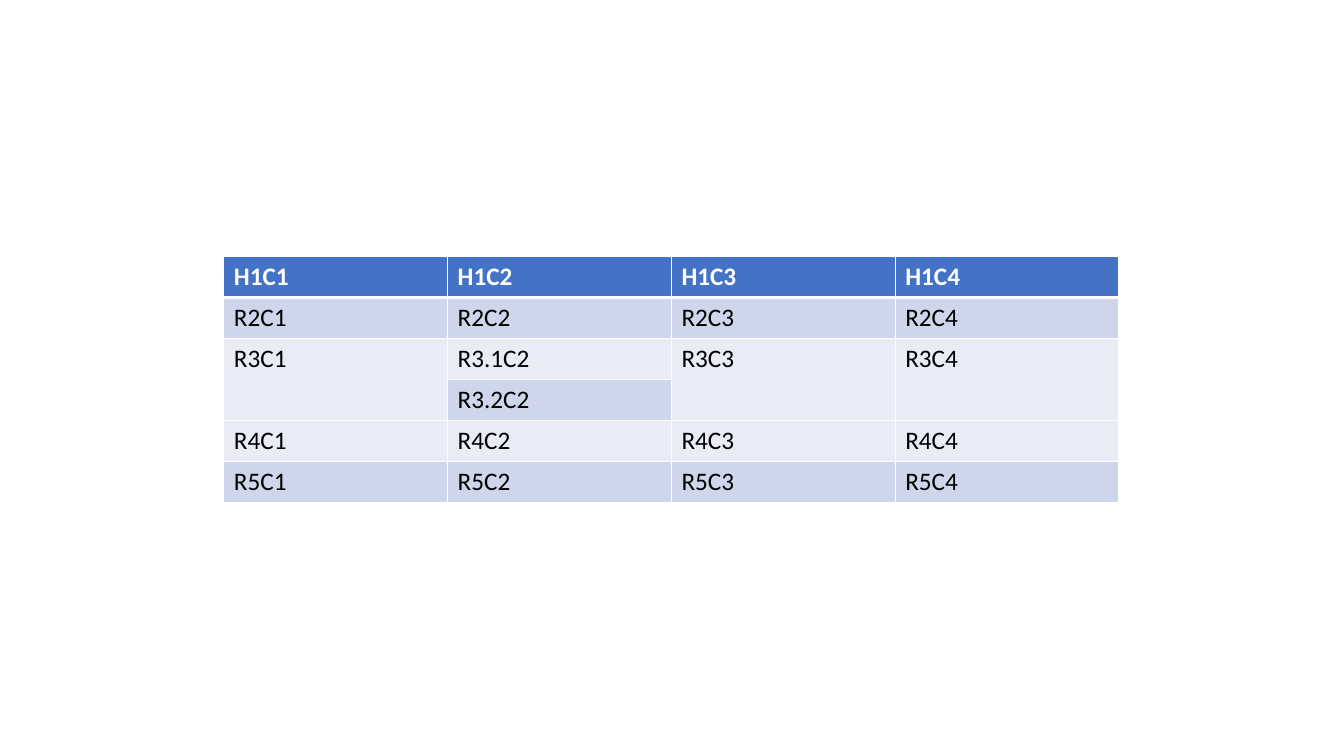
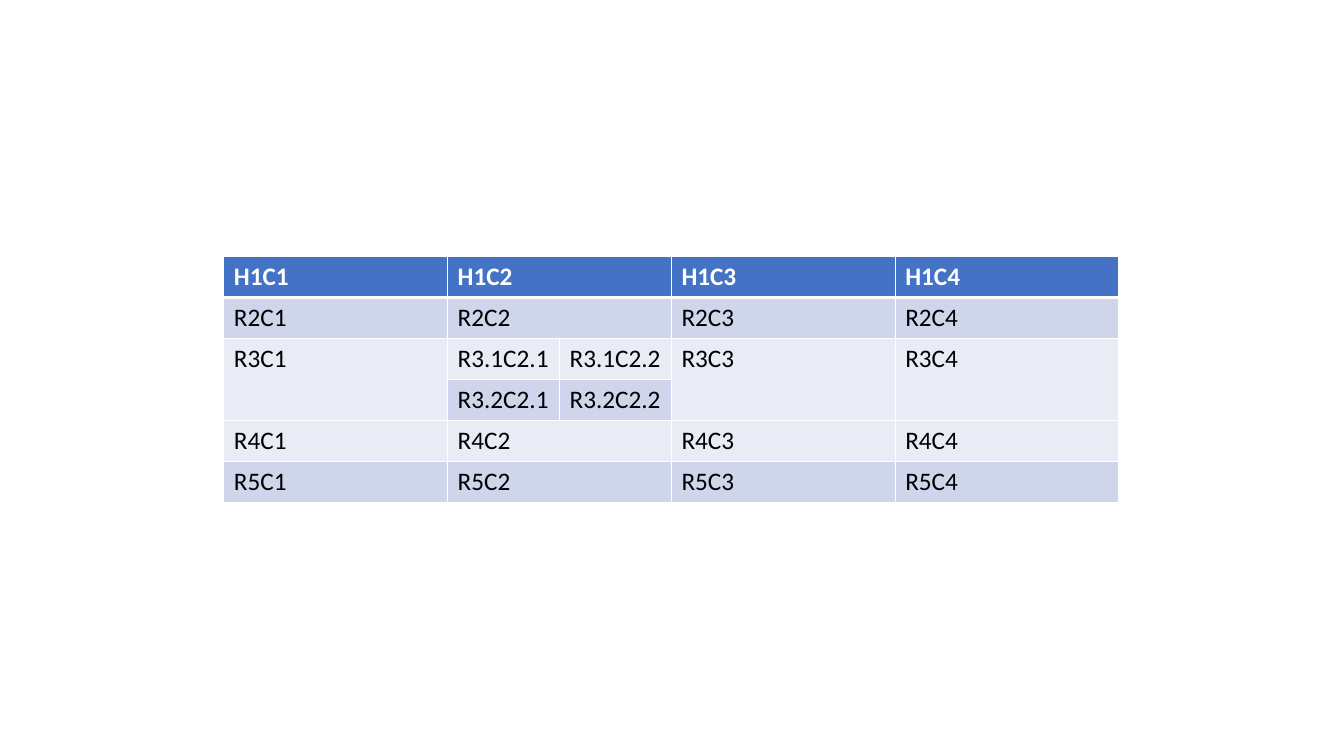
from dataclasses import dataclass

from lxml import etree
from pptx import Presentation
from pptx.dml.color import RGBColor
from pptx.oxml import ns
from pptx.util import Inches, Pt

LEFT, UP = "←", "↑"

TABLES = [
    {
        "widths": [2.22, 2.22, 2.22, 2.22],
        "rows": [
            ["H1C1", "H1C2", "H1C3", "H1C4"],
            ["R2C1", "R2C2", "R2C3", "R2C4"],
            ["R3C1", "R3.1C2", "R3C3", "R3C4"],
            [UP, "R3.2C2", UP, UP],
            ["R4C1", "R4C2", "R4C3", "R4C4"],
            ["R5C1", "R5C2", "R5C3", "R5C4"],
        ],
    },
    {
        "widths": [2.22, 1.11, 1.11, 2.22, 2.22],
        "rows": [
            ["H1C1", "H1C2", LEFT, "H1C3", "H1C4"],
            ["R2C1", "R2C2", LEFT, "R2C3", "R2C4"],
            ["R3C1", "R3.1C2.1", "R3.1C2.2", "R3C3", "R3C4"],
            [UP, "R3.2C2.1", "R3.2C2.2", UP, UP],
            ["R4C1", "R4C2", LEFT, "R4C3", "R4C4"],
            ["R5C1", "R5C2", LEFT, "R5C3", "R5C4"],
        ],
    },
]
ROW_HEIGHTS = [0.41, 0.41, 0.2, 0.2, 0.41, 0.41]
TABLE_LEFT, TABLE_TOP = 2.22, 2.54


@dataclass(frozen=True)
class Theme:
    font: str = "Calibri"
    size: int = 18
    header: str = "4472C4"
    bands: tuple = ("E9EBF5", "CFD5EA")
    light: str = "FFFFFF"
    dark: str = "000000"
    rule: int = 1
    header_rule: int = 3


THEME = Theme()


def add_borders(cell, row):
    weights = {
        "lnL": THEME.rule,
        "lnR": THEME.rule,
        "lnT": THEME.header_rule if row == 1 else THEME.rule,
        "lnB": THEME.header_rule if row == 0 else THEME.rule,
    }
    properties = cell._tc.get_or_add_tcPr()
    for place, (side, weight) in enumerate(weights.items()):
        line = etree.Element(ns.qn(f"a:{side}"), w=str(Pt(weight)))
        fill = etree.SubElement(line, ns.qn("a:solidFill"))
        etree.SubElement(fill, ns.qn("a:srgbClr"), val=THEME.light)
        properties.insert(place, line)


def write_cell(cell, label, row):
    is_header = row == 0
    cell.fill.solid()
    cell.fill.fore_color.rgb = RGBColor.from_string(
        THEME.header if is_header else THEME.bands[row % 2])
    para = cell.text_frame.paragraphs[0]
    span = para.add_run()
    span.text = label
    formats = {"name": THEME.font, "size": Pt(THEME.size), "bold": is_header}
    for name, value in formats.items():
        setattr(span.font, name, value)
    span.font.color.rgb = RGBColor.from_string(
        THEME.light if is_header else THEME.dark)


def add_grid(page, widths, rows):
    grid = page.shapes.add_table(
        len(rows), len(widths), Inches(TABLE_LEFT), Inches(TABLE_TOP),
        Inches(sum(widths)), Inches(sum(ROW_HEIGHTS))).table
    for column, width in zip(grid.columns, widths):
        column.width = Inches(width)
    for line, height in zip(grid.rows, ROW_HEIGHTS):
        line.height = Inches(height)
    for row, labels in enumerate(rows):
        for column, label in enumerate(labels):
            cell = grid.cell(row, column)
            if label == LEFT:
                grid.cell(row, column - 1).merge(cell)
            elif label == UP:
                grid.cell(row - 1, column).merge(cell)
            else:
                write_cell(cell, label, row)
            add_borders(cell, row)


def main():
    deck = Presentation()
    deck.slide_width, deck.slide_height = Inches(13.33), Inches(7.5)
    blank = deck.slide_layouts[6]
    for content in TABLES:
        add_grid(deck.slides.add_slide(blank), **content)
    deck.save("out.pptx")


if __name__ == "__main__":
    main()
